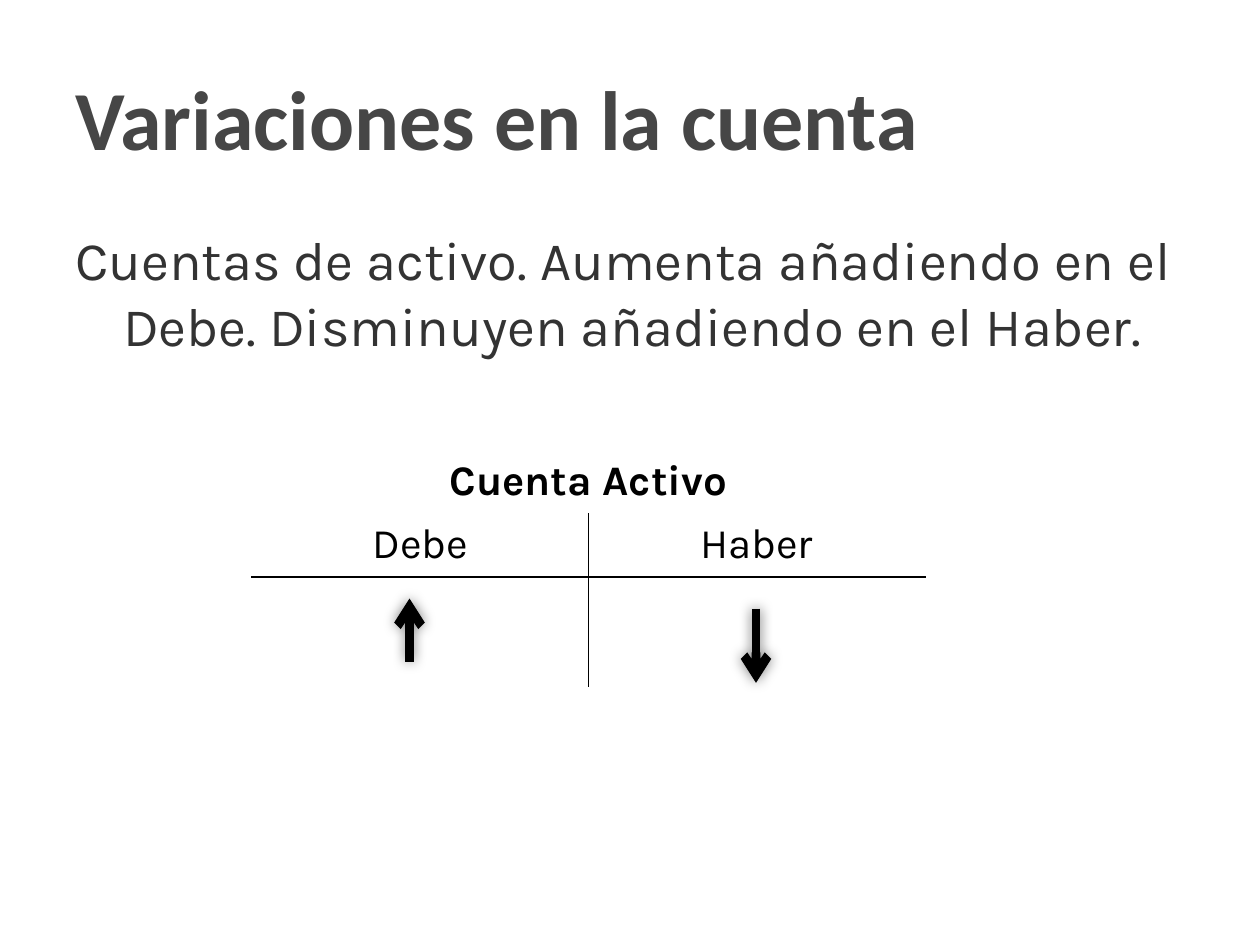
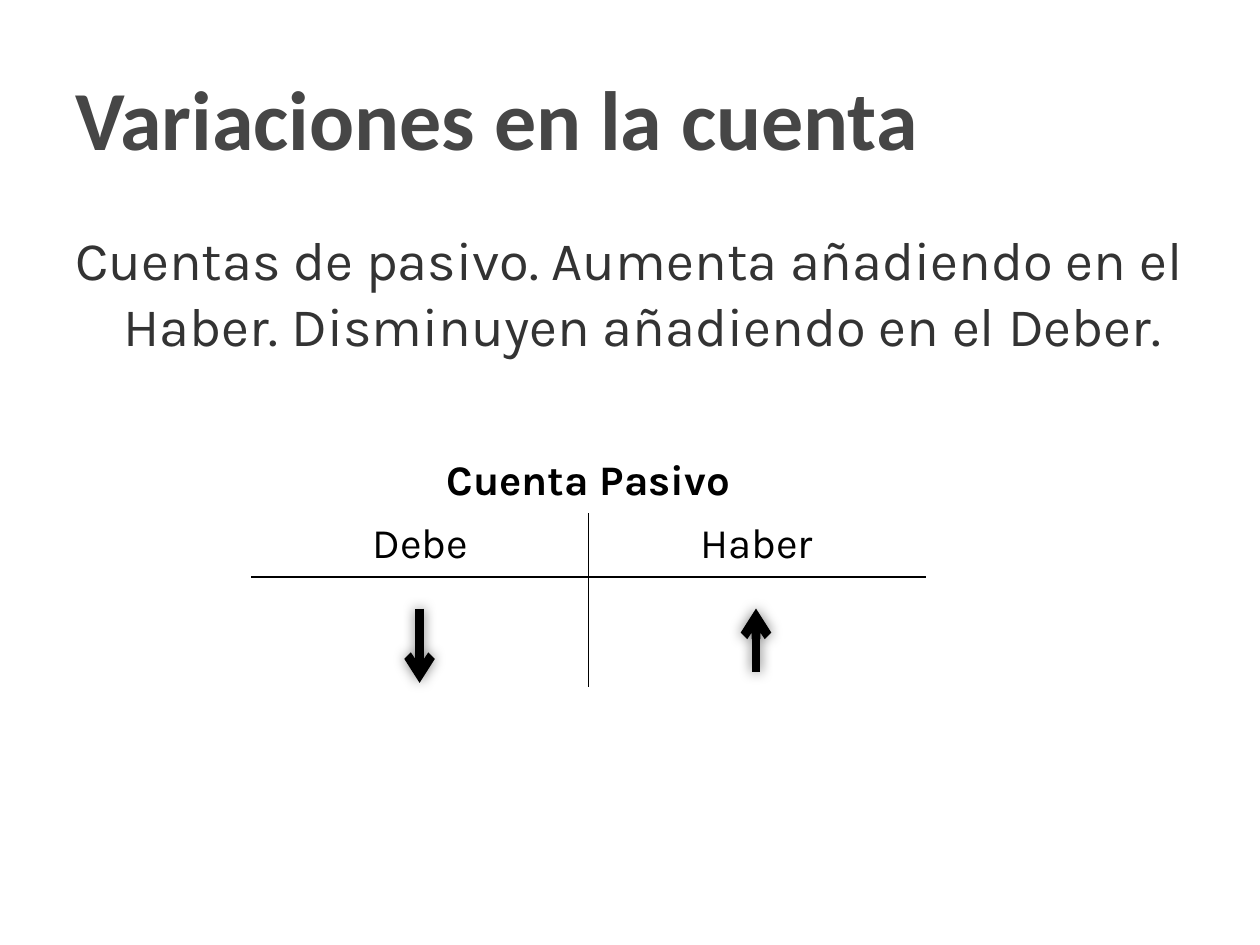
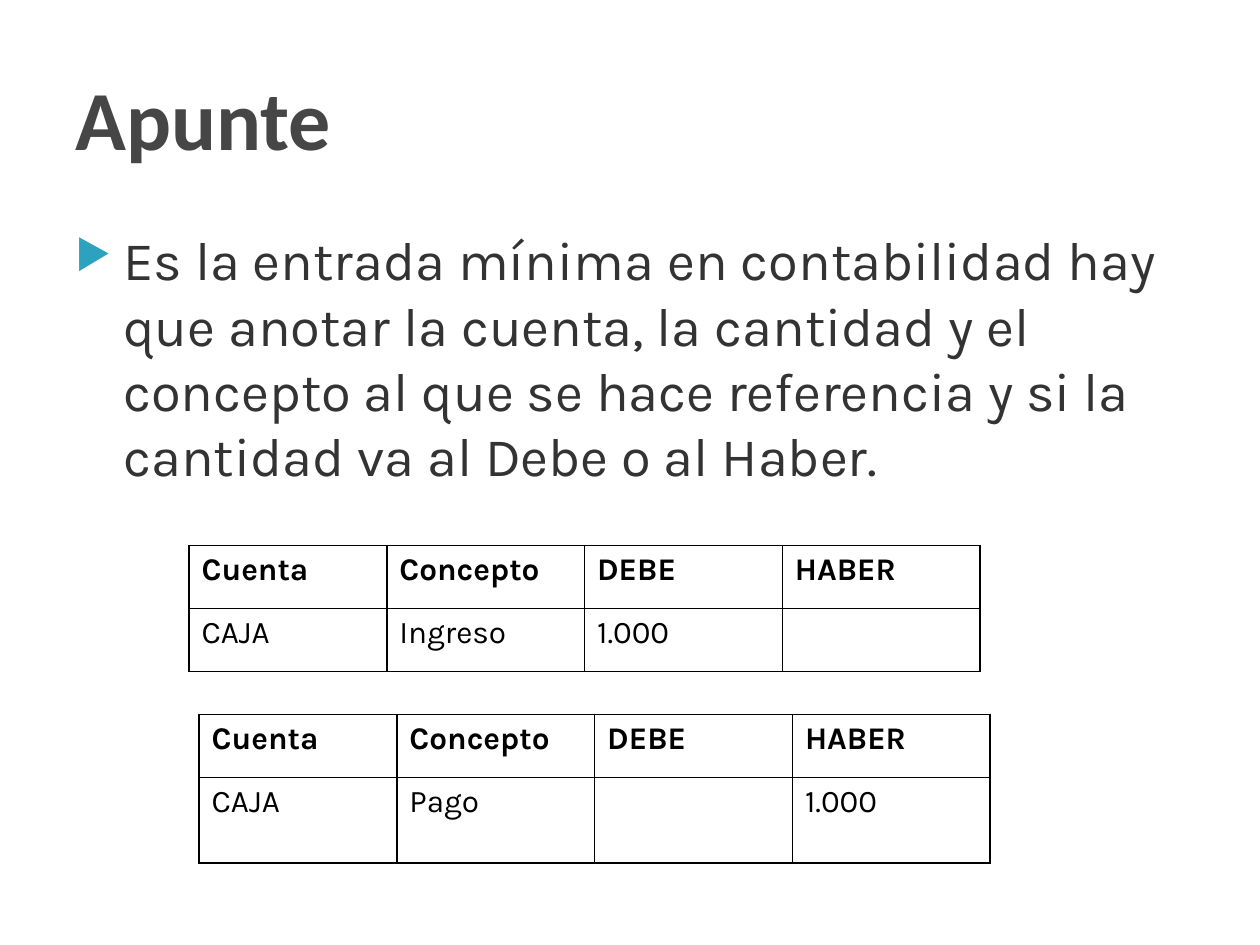
from lxml import etree
from pptx import Presentation
from pptx.dml.color import RGBColor
from pptx.enum.shapes import MSO_CONNECTOR
from pptx.enum.text import MSO_ANCHOR, PP_ALIGN
from pptx.oxml.ns import qn
from pptx.util import Inches, Pt

BLACK = RGBColor(0x00, 0x00, 0x00)
WHITE = RGBColor(0xFF, 0xFF, 0xFF)
TITLE_GRAY = RGBColor(0x46, 0x46, 0x46)
BODY_GRAY = RGBColor(0x33, 0x33, 0x33)
BULLET_BLUE = RGBColor(0x2D, 0xA2, 0xBF)

STRAIGHT = MSO_CONNECTOR.STRAIGHT
TOP, MIDDLE = MSO_ANCHOR.TOP, MSO_ANCHOR.MIDDLE
LEFT, CENTER = PP_ALIGN.LEFT, PP_ALIGN.CENTER

TITLE_FONT = "Calibri"
BODY_FONT = "Karla"
TITLE_BOX = (0.5, 0.3, 9, 1.25)
BODY_BOX = (0.5, 1.75, 9, 4.95)
HANGING = Inches(0.38)
SIDES = ("L", "R", "T", "B")
ENTRY_HEADER = ("Cuenta", "Concepto", "DEBE", "HABER")


def add_child(parent, tag, **attrs):
    """Append a DrawingML element to parent and return it."""
    child = etree.SubElement(parent, qn(tag))
    for name, value in attrs.items():
        child.set(name, str(value))
    return child


def add_color(parent, color):
    """Append an RGB colour element to parent and return it."""
    return add_child(parent, "a:srgbClr", val=color)


def format_runs(p, font, size, color, bold):
    """Format every run of a paragraph."""
    for r in p.runs:
        r.font.name = font
        r.font.size = Pt(size)
        r.font.color.rgb = color
        r.font.bold = bold


def add_text(slide, box, text, font, size, color, bold=False, anchor=TOP):
    """Add a text box with a hanging indent and return its paragraph."""
    tf = slide.shapes.add_textbox(*map(Inches, box)).text_frame
    tf.word_wrap = True
    tf.vertical_anchor = anchor
    p = tf.paragraphs[0]
    p.text = text
    format_runs(p, font, size, color, bold)
    pPr = p._p.get_or_add_pPr()
    pPr.set("marL", str(HANGING))
    pPr.set("indent", str(-HANGING))
    return p


def add_bullet(p):
    """Give a paragraph the blue triangle bullet."""
    pPr = p._p.get_or_add_pPr()
    add_color(add_child(pPr, "a:buClr"), BULLET_BLUE)
    add_child(pPr, "a:buSzPct", val=75000)
    add_child(pPr, "a:buChar", char="▶")


def add_text_slide(prs, title, body):
    """Add a blank slide with its title and body; return slide and body."""
    slide = prs.slides.add_slide(prs.slide_layouts[6])
    p = add_text(slide, BODY_BOX, body, BODY_FONT, 31, BODY_GRAY)
    add_text(slide, TITLE_BOX, title, TITLE_FONT, 48, TITLE_GRAY, True, MIDDLE)
    return slide, p


def set_borders(cell, sides):
    """Draw thin black borders on the given sides of a cell."""
    tcPr = cell._tc.get_or_add_tcPr()
    for i, side in enumerate(sides):
        ln = add_child(tcPr, f"a:ln{side}", w=Pt(1))
        add_color(add_child(ln, "a:solidFill"), BLACK)
        tcPr.insert(i, ln)


def add_table(slide, left, top, col_width, heights, rows, size, align, borders):
    """Add a white table whose first row is bold; borders maps row, column to sides."""
    cols = len(rows[0])
    frame = slide.shapes.add_table(
        len(rows), cols, Inches(left), Inches(top),
        Inches(col_width * cols), Inches(sum(heights)))
    table = frame.table
    table.first_row = table.horz_banding = False
    for col in table.columns:
        col.width = Inches(col_width)
    for i, (height, texts) in enumerate(zip(heights, rows)):
        table.rows[i].height = Inches(height)
        for j, text in enumerate(texts):
            cell = table.cell(i, j)
            cell.fill.solid()
            cell.fill.fore_color.rgb = WHITE
            set_borders(cell, borders(i, j))
            p = cell.text_frame.paragraphs[0]
            p.alignment = align
            if text:
                p.text = text
                format_runs(p, BODY_FONT, size, BLACK, i == 0)
    return table


def t_account_borders(row, col):
    """Return the sides that form the T of an account."""
    if row == 0:
        return ()
    return ("R" if col == 0 else "L", "B" if row == 1 else "T")


def add_arrow(slide, x, start, end):
    """Add a thick vertical arrow with a soft shadow."""
    line = slide.shapes.add_connector(
        STRAIGHT, Inches(x), Inches(start), Inches(x), Inches(end))
    line.line.color.rgb = BLACK
    line.line.width = Pt(5)
    add_child(line.line._get_or_add_ln(), "a:tailEnd", type="arrow")
    effects = add_child(line._element.spPr, "a:effectLst")
    shadow = add_child(effects, "a:outerShdw", blurRad=Pt(7.5), dist=0, dir=0)
    add_child(add_color(shadow, BLACK), "a:alpha", val=50000)


def add_account_slide(prs, body, account, arrows):
    """Add a slide with a T account and an arrow on each side of it."""
    slide, _ = add_text_slide(prs, "Variaciones en la cuenta", body)
    rows = ((account, ""), ("Debe", "Haber"), ("", ""))
    table = add_table(slide, 2, 3.58, 2.67, (0.49, 0.49, 0.88), rows, 24,
                      CENTER, t_account_borders)
    table.cell(0, 0).merge(table.cell(0, 1))
    for arrow in arrows:
        add_arrow(slide, *arrow)


def add_entry_table(slide, left, top, last_height, entry):
    """Add a fully ruled table with one accounting entry."""
    add_table(slide, left, top, 1.57, (0.5, last_height), (ENTRY_HEADER, entry),
              18, LEFT, lambda row, col: SIDES)


def add_entry_slide(prs):
    """Add the slide that explains an entry with two examples."""
    slide, p = add_text_slide(
        prs, "Apunte",
        "Es la entrada mínima en contabilidad hay que anotar la cuenta, "
        "la cantidad y el concepto al que se hace referencia y si la "
        "cantidad va al Debe o al Haber.")
    add_bullet(p)
    add_entry_table(slide, 1.5, 4.33, 0.5, ("CAJA", "Ingreso", "1.000", ""))
    add_entry_table(slide, 1.58, 5.67, 0.68, ("CAJA", "Pago", "", "1.000"))


def main():
    """Build the three slides and save them."""
    prs = Presentation()
    prs.slide_width, prs.slide_height = Inches(10), Inches(7.5)
    add_account_slide(
        prs,
        "Cuentas de activo. Aumenta añadiendo en el Debe. "
        "Disminuyen añadiendo en el Haber.",
        "Cuenta Activo", ((3.25, 5.25, 4.75), (6, 4.83, 5.42)))
    add_account_slide(
        prs,
        "Cuentas de pasivo. Aumenta añadiendo en el Haber. "
        "Disminuyen añadiendo en el Deber.",
        "Cuenta Pasivo", ((6, 5.33, 4.83), (3.33, 4.83, 5.42)))
    add_entry_slide(prs)
    prs.save("out.pptx")


if __name__ == "__main__":
    main()
